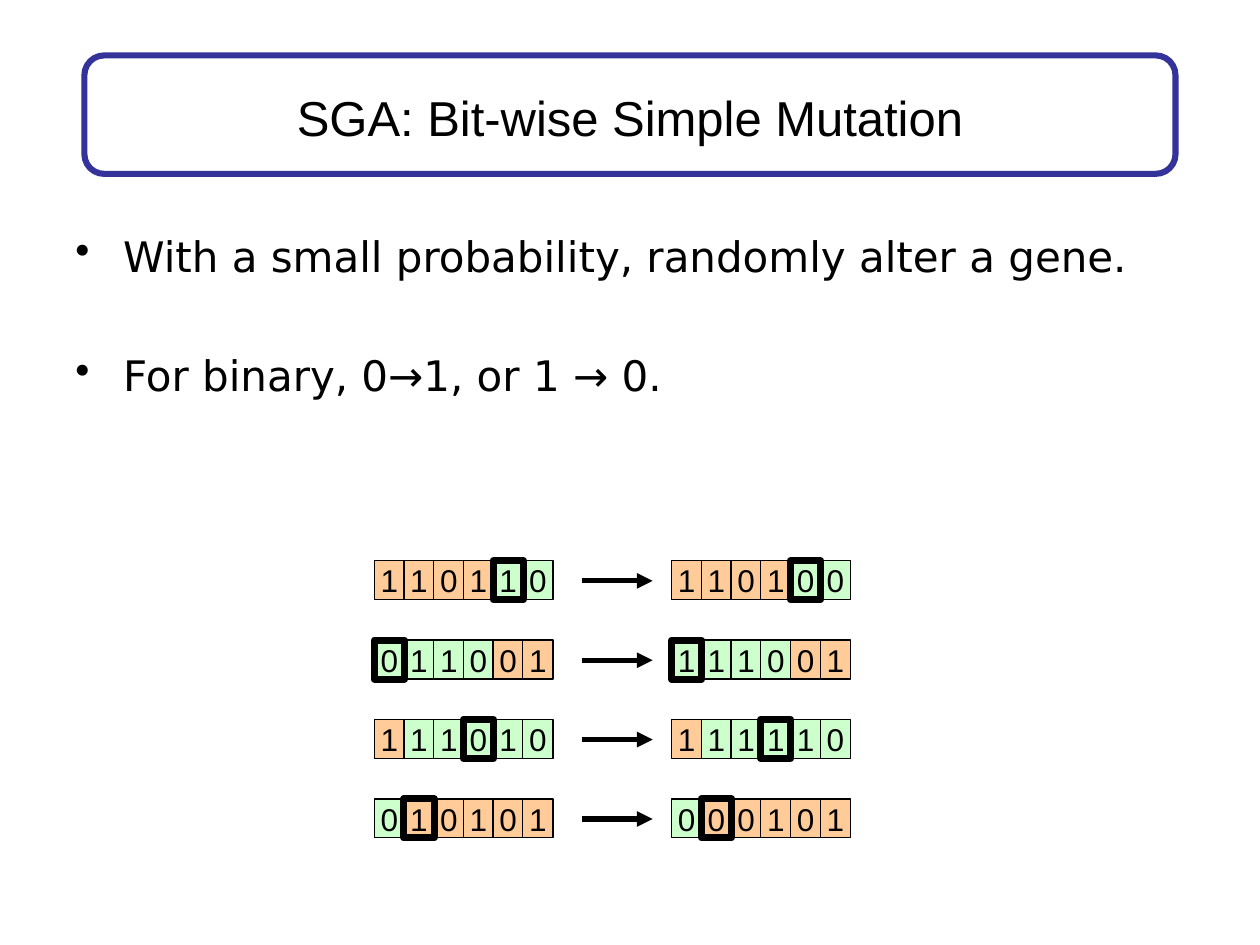
import pptx
import pptx.util
import pptx.dml.color
import pptx.enum.shapes
import pptx.enum.text
import pptx.oxml.ns
from lxml import etree

Inches, Pt = pptx.util.Inches, pptx.util.Pt
Kind = pptx.enum.shapes.MSO_SHAPE
Align = pptx.enum.text.PP_ALIGN
Anchor = pptx.enum.text.MSO_ANCHOR
qn = pptx.oxml.ns.qn

COLORS = {"ink": "000000", "frame": "333399", "G": "CCFFCC", "O": "FFCC99"}


def color(name):
    """Return the named colour."""
    return pptx.dml.color.RGBColor.from_string(COLORS[name])


class Board:
    """Holds the style and the current slide."""

    head, body = "Arial", "DejaVu Sans"

    def __init__(self, slide):
        self.shapes = slide.shapes

    def style(self, para, text, font, size):
        """Fill a paragraph with styled text."""
        para.text = text
        para.font.name, para.font.size = font, Pt(size)
        para.font.color.rgb = color("ink")

    def shape(self, kind, box, line, width, fill=None):
        """Add an outlined shape."""
        item = self.shapes.add_shape(kind, *map(Inches, box))
        item.shadow.inherit = False
        if fill:
            item.fill.solid()
            item.fill.fore_color.rgb = color(fill)
        else:
            item.fill.background()
        item.line.color.rgb = color(line)
        item.line.width = Pt(width)
        return item

    def title(self, text, box):
        """Add the centred title."""
        frame = self.shapes.add_textbox(*map(Inches, box)).text_frame
        frame.word_wrap = True
        frame.vertical_anchor = Anchor.MIDDLE
        para = frame.paragraphs[0]
        para.alignment = Align.CENTER
        self.style(para, text, self.head, 28)

    def bullets(self, lines, box, gap):
        """Add a bulleted list with a gap between items."""
        frame = self.shapes.add_textbox(*map(Inches, box)).text_frame
        frame.word_wrap = True
        for i, text in enumerate(lines):
            para = frame.add_paragraph() if i else frame.paragraphs[0]
            self.style(para, text, self.body, 24)
            para.space_before = Pt(gap if i else 0)
            props = para._p.get_or_add_pPr()
            props.set("marL", str(Inches(0.38)))
            props.set("indent", str(Inches(-0.38)))
            mark = etree.Element(qn("a:buChar"), char="•")
            props.insert_element_before(mark, "a:tabLst", "a:defRPr", "a:extLst")

    def gene(self, bit, fill, box, bold):
        """Add one gene cell."""
        item = self.shape(Kind.RECTANGLE, box, "ink", 4 if bold else 0.75, fill)
        frame = item.text_frame
        frame.word_wrap = False
        frame.vertical_anchor = Anchor.MIDDLE
        para = frame.paragraphs[0]
        para.alignment = Align.CENTER
        self.style(para, bit, self.head, 18)

    def genome(self, bits, fills, left, top, spot):
        """Add a row of genes, the altered one on top."""
        step = 1.18 / 5
        for i in sorted(range(len(bits)), key=lambda n: n == spot):
            box = (left + i * step, top, 0.24, 0.31)
            self.gene(bits[i], fills[i], box, i == spot)

    def arrow(self, left, right, y):
        """Add a level arrow."""
        ends = map(Inches, (left, y, right, y))
        item = self.shapes.add_connector(pptx.enum.shapes.MSO_CONNECTOR.STRAIGHT, *ends)
        item.line.color.rgb = color("ink")
        item.line.width = Pt(3)
        etree.SubElement(item.line._get_or_add_ln(), qn("a:tailEnd"), type="triangle")
        etree.SubElement(item._element.spPr, qn("a:effectLst"))


deck = pptx.Presentation()
deck.slide_width, deck.slide_height = Inches(10), Inches(7.5)
board = Board(deck.slides.add_slide(deck.slide_layouts[6]))

board.shape(Kind.ROUNDED_RECTANGLE, (0.67, 0.44, 8.66, 0.94), "frame", 3.5)
board.title("SGA: Bit-wise Simple Mutation", (0.5, 0.3, 9, 1.25))
board.bullets(
    ["With a small probability, randomly alter a gene.", "For binary, 0→1, or 1 → 0."],
    (0.5, 1.78, 9, 4.92), 39.5)

# Bits, cell colours and index of the altered gene
ROWS = [
    ("110110", "OOOOGG", 4),
    ("011001", "GGGGOO", 0),
    ("111010", "OGGGGG", 3),
    ("010101", "GOOOOO", 1),
]
for n, (bits, fills, spot) in enumerate(ROWS):
    top = 4.45 + n * 0.63
    flip = "1" if bits[spot] == "0" else "0"
    after = bits[:spot] + flip + bits[spot + 1:]
    board.genome(bits, fills, 2.97, top, spot)
    board.arrow(4.62, 5.18, top + 0.16)
    board.genome(after, fills, 5.33, top, spot)

deck.save("out.pptx")
